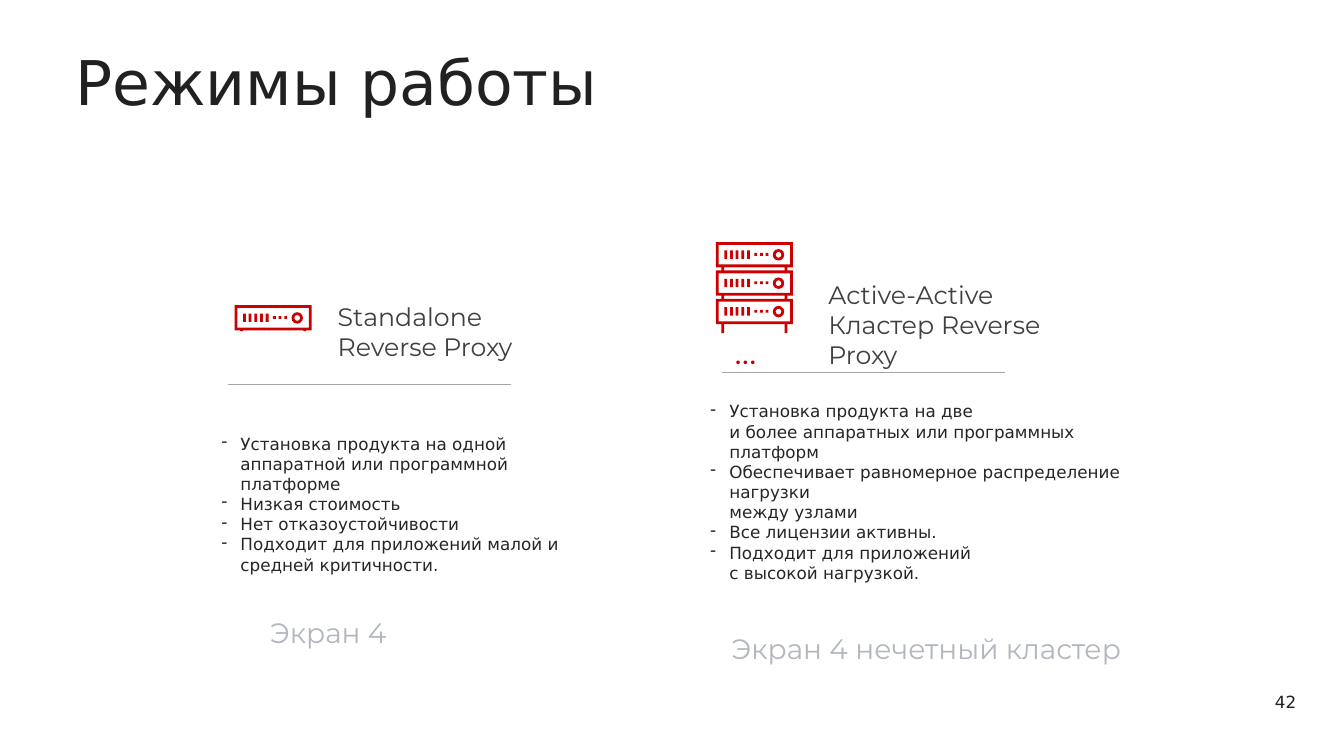
"""Build the slide that compares two operating modes of a reverse proxy."""
from lxml.etree import SubElement
from pptx import Presentation
from pptx.dml.color import RGBColor
from pptx.enum.shapes import MSO_CONNECTOR, MSO_SHAPE
from pptx.enum.text import MSO_ANCHOR as Anchor, PP_ALIGN as Align
from pptx.oxml.ns import qn
from pptx.util import Pt

COLORS = {
    "ink": "212121", "body": "262626", "heading": "414041", "product": "B2B6BF",
    "rack": "CC0000", "ellipsis": "C00000", "rule": "A6A6A6",
}
SANS, DISPLAY = "DejaVu Sans", "Montserrat"
UNIT_WIDTH, UNIT_HEIGHT, UNIT_PITCH = 55, 18, 20.3
RACK_BORDER, LEG_OFFSET, LEG_WIDTH = 2, 3.9, 2
MARK_PITCH = 4.05

STANDALONE_POINTS = [
    "Установка продукта на одной\nаппаратной или программной\nплатформе",
    "Низкая стоимость",
    "Нет отказоустойчивости",
    "Подходит для приложений малой и средней критичности.",
]
CLUSTER_POINTS = [
    "Установка продукта на две\nи более аппаратных или программных платформ",
    "Обеспечивает равномерное распределение нагрузки\nмежду узлами",
    "Все лицензии активны.",
    "Подходит для приложений\nс высокой нагрузкой.",
]


def rgb(color):
    """Return the named colour."""
    return RGBColor.from_string(COLORS[color])


def add_text(slide, box, lines, size, font, color, align=Align.LEFT,
             spacing=None, inset=None, anchor=Anchor.TOP, bullet=None):
    """Add a wrapped text box with one paragraph for each line."""
    frame = slide.shapes.add_textbox(*map(Pt, box)).text_frame
    frame.word_wrap = True
    frame.vertical_anchor = anchor
    if inset is not None:
        frame.margin_left = frame.margin_right = Pt(inset)
        frame.margin_top = frame.margin_bottom = Pt(inset)
    for index, line in enumerate(lines):
        paragraph = frame.add_paragraph() if index else frame.paragraphs[0]
        paragraph.text = line
        paragraph.alignment = align
        if spacing:
            paragraph.line_spacing = spacing
        if bullet:
            add_bullet(paragraph, bullet)
        for line_break in paragraph._p.findall(qn("a:br")):
            SubElement(line_break, qn("a:rPr")).set("sz", str(size * 100))
        for run in paragraph.runs:
            run.font.size = Pt(size)
            run.font.name = font
            run.font.color.rgb = rgb(color)


def add_bullet(paragraph, mark):
    """Give a paragraph a hanging bullet."""
    properties = paragraph._p.get_or_add_pPr()
    properties.set("marL", str(Pt(13.5)))
    properties.set("indent", str(-Pt(13.5)))
    SubElement(properties, qn("a:buChar")).set("char", mark)


def paint_red(shape):
    """Fill a rack part in red, without line or shadow."""
    shape.shadow.inherit = False
    shape.fill.solid()
    shape.fill.fore_color.rgb = rgb("rack")
    shape.line.fill.background()


def add_mark(rack, kind, left, top, width, height):
    """Add one front-panel mark to a rack."""
    mark = rack.shapes.add_shape(kind, Pt(left), Pt(top), Pt(width), Pt(height))
    paint_red(mark)
    return mark


def corners(left, top, width, height):
    """Return the corners of a rectangle in drawing order."""
    right, bottom = left + width, top + height
    return [(Pt(x), Pt(y)) for x, y in
            ((left, top), (right, top), (right, bottom), (left, bottom))]


def add_frame(rack, left, top, units, foot):
    """Draw the hollow units of a rack and the legs under them."""
    outlines = []
    for unit in range(units):
        unit_top = top + unit * UNIT_PITCH
        leg = foot if unit == units - 1 else UNIT_PITCH - UNIT_HEIGHT
        outlines.append(corners(left, unit_top, UNIT_WIDTH, UNIT_HEIGHT))
        outlines.append(corners(left + RACK_BORDER, unit_top + RACK_BORDER,
                                UNIT_WIDTH - 2 * RACK_BORDER,
                                UNIT_HEIGHT - 2 * RACK_BORDER))
        for offset in (LEG_OFFSET, UNIT_WIDTH - LEG_OFFSET - LEG_WIDTH):
            outlines.append(corners(left + offset, unit_top + UNIT_HEIGHT,
                                    LEG_WIDTH, leg))
    builder = rack.shapes.build_freeform(*outlines[0][0])
    for outline in outlines:
        builder.move_to(*outline[0])
        builder.add_line_segments(outline[1:], close=True)
    paint_red(builder.convert_to_shape())


def add_rack(slide, left, top, units, foot):
    """Add a server rack icon as one group."""
    rack = slide.shapes.add_group_shape()
    add_frame(rack, left, top, units, foot)
    for unit in range(units):
        unit_top = top + unit * UNIT_PITCH
        for bar in range(5):
            add_mark(rack, MSO_SHAPE.RECTANGLE, left + 6 + bar * MARK_PITCH,
                     unit_top + 6, 2, 6)
        for dot in range(3):
            add_mark(rack, MSO_SHAPE.RECTANGLE, left + 27.4 + dot * MARK_PITCH,
                     unit_top + 7.8, 2, 2)
        ring = add_mark(rack, MSO_SHAPE.DONUT, left + 40.6, unit_top + 5, 8.2, 8.2)
        ring.adjustments[0] = 0.25


def add_rule(slide, left, top, width):
    """Add a thin grey line under a heading."""
    rule = slide.shapes.add_connector(MSO_CONNECTOR.STRAIGHT, Pt(left), Pt(top),
                                      Pt(left + width), Pt(top))
    rule.line.color.rgb = rgb("rule")
    rule.line.width = Pt(0.5)
    SubElement(rule._element.spPr, qn("a:effectLst"))


def add_mode(slide, heading, heading_box, rule, points, points_box,
             product, product_box):
    """Add the texts and the rule of one operating mode."""
    add_text(slide, heading_box, [heading], 18, DISPLAY, "heading", inset=3.6)
    add_rule(slide, *rule)
    add_text(slide, points_box, points, 12, SANS, "body", bullet="-")
    add_text(slide, product_box, [product], 20, DISPLAY, "product", spacing=Pt(50))


def main():
    """Build and save the slide."""
    deck = Presentation()
    deck.slide_width, deck.slide_height = Pt(960), Pt(540)
    slide = deck.slides.add_slide(deck.slide_layouts[6])
    add_text(slide, (46.8, 33.8, 758, 112), ["Режимы работы"], 44, SANS, "ink",
             spacing=0.9)
    add_rack(slide, 167.6, 218, units=1, foot=0.6)
    add_mode(slide, "Standalone\nReverse Proxy", (237.6, 211.7, 188, 51),
             (162.7, 274.8, 202.3), STANDALONE_POINTS, (151.2, 306, 293, 109),
             "Экран 4", (185.8, 410.4, 100, 50.4))
    add_rack(slide, 511.4, 172.9, units=3, foot=6.5)
    add_mode(slide, "Active-Active Кластер Reverse Proxy", (588.2, 195.8, 197.3, 72.7),
             (515.5, 266.2, 202.3), CLUSTER_POINTS, (500.4, 283, 308.9, 138.2),
             "Экран 4 нечетный кластер", (515.5, 421.2, 355.7, 50.4))
    add_text(slide, (517.7, 211.7, 84.2, 51.8), ["…"], 24, DISPLAY, "ellipsis",
             spacing=Pt(50))
    add_text(slide, (771.8, 486.7, 161.3, 28.8), ["42"], 12, SANS, "ink",
             align=Align.RIGHT, anchor=Anchor.MIDDLE)
    deck.save("out.pptx")


if __name__ == "__main__":
    main()
